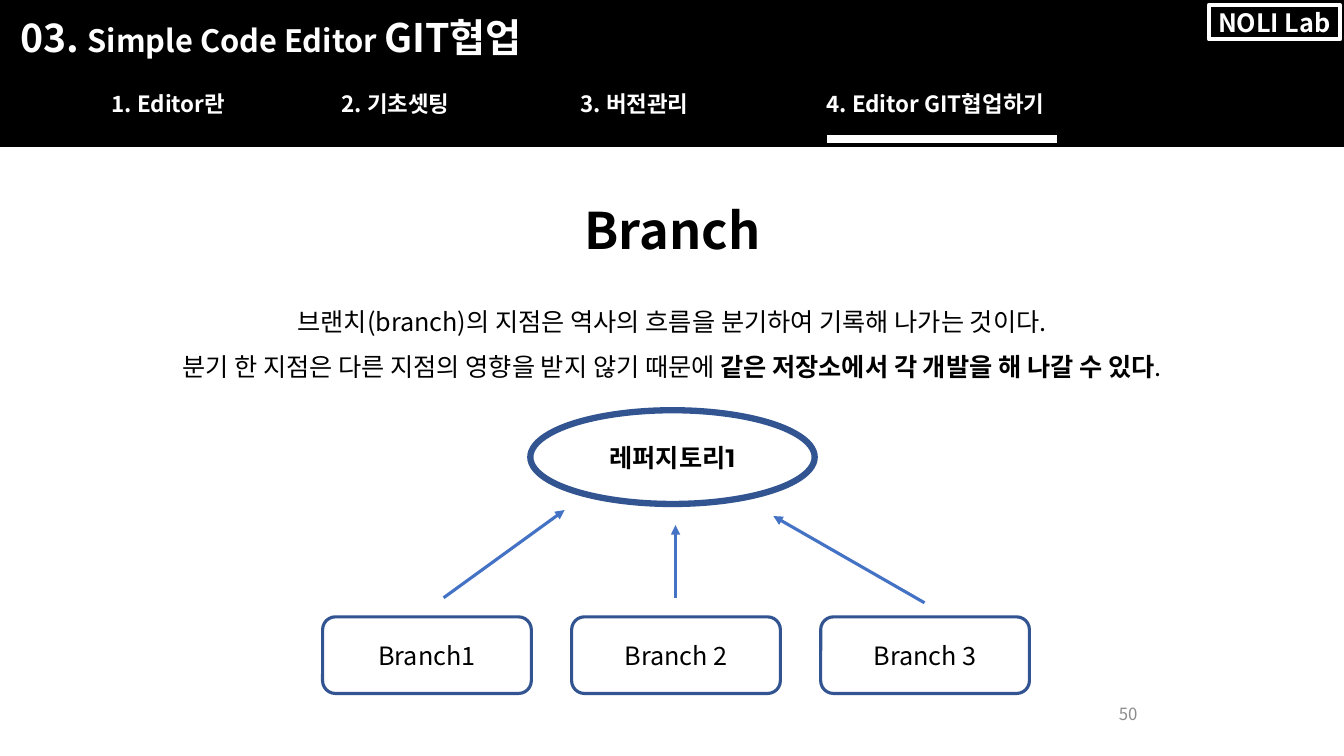
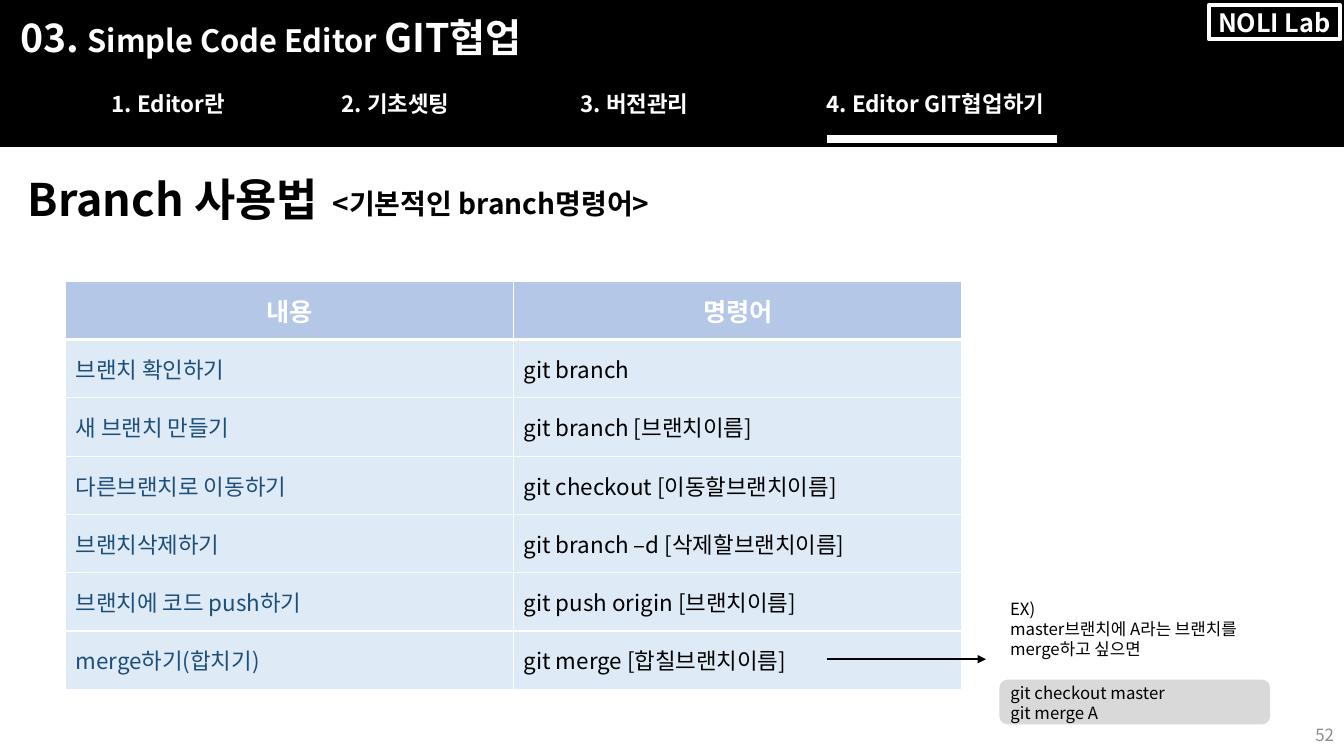
from dataclasses import dataclass

from lxml.etree import SubElement
from pptx import Presentation
from pptx.dml.color import RGBColor as RGB
from pptx.enum.shapes import MSO_CONNECTOR, MSO_SHAPE as SHAPE
from pptx.enum.text import MSO_ANCHOR as ANCHOR, MSO_AUTO_SIZE, PP_ALIGN as ALIGN
from pptx.oxml import parse_xml
from pptx.oxml.ns import nsdecls, qn
from pptx.util import Inches, Pt


@dataclass(frozen=True)
class Theme:
    font: str = "Noto Sans CJK KR"
    accent_font: str = "Montserrat"
    black: RGB = RGB(0x00, 0x00, 0x00)
    white: RGB = RGB(0xFF, 0xFF, 0xFF)
    number_gray: RGB = RGB(0x8C, 0x8C, 0x8C)
    code_gray: RGB = RGB(0xD9, 0xD9, 0xD9)
    outline: RGB = RGB(0x32, 0x54, 0x91)
    arrow: RGB = RGB(0x44, 0x72, 0xC4)
    table_head: RGB = RGB(0xB4, 0xC7, 0xE7)
    table_body: RGB = RGB(0xDE, 0xEB, 0xF7)
    table_label: RGB = RGB(0x1F, 0x4E, 0x79)
    heading: Pt = Pt(36)
    heading_small: Pt = Pt(32)
    section: Pt = Pt(28)
    section_small: Pt = Pt(22)
    subtitle: Pt = Pt(20)
    body: Pt = Pt(18)
    tab: Pt = Pt(16)
    note: Pt = Pt(12)


theme = Theme()


def format_text(frame, size, color=theme.black, bold=False, align=ALIGN.LEFT,
                font=theme.font):
    """Format every run, using the font for Latin and Korean letters alike."""
    frame.word_wrap = True
    for paragraph in frame.paragraphs:
        paragraph.alignment = align
        for run in paragraph.runs:
            run.font.size = size
            run.font.bold = bold
            run.font.color.rgb = color
            run.font.name = font
            SubElement(run.font._element, qn("a:ea"), typeface=font)


def draw_line(shapes, start, end, color, width, arrowhead=False):
    line = shapes.add_connector(MSO_CONNECTOR.STRAIGHT,
                                *map(Inches, (*start, *end)))
    line.line.color.rgb = color
    line.line.width = Pt(width)
    if arrowhead:
        SubElement(line.line._get_or_add_ln(), qn("a:tailEnd"), type="triangle")
    SubElement(line._element.spPr, qn("a:effectLst"))


prs = Presentation()
prs.slide_width, prs.slide_height = Inches(13.33), Inches(7.5)

# Shared header, title and page number
TABS = [
    ("1. Editor란", 1.01, 2.49),
    ("2. 기초셋팅", 3.29, 2.02),
    ("3. 버전관리", 5.66, 2.02),
    ("4. Editor GIT협업하기", 8.1, 2.78),
]
PAGES = [
    ("Branch", theme.heading, (5.6, 1.93, 2.14, 0.71), "50", (8.4, 6.88)),
    ("Branch 사용법", theme.heading_small, (0, 1.65, 3.43, 0.64), "52", (10.35, 7.08)),
]
for heading, heading_size, heading_area, page, page_corner in PAGES:
    slide = prs.slides.add_slide(prs.slide_layouts[5])
    shapes = slide.shapes

    title = shapes.title
    title.left, title.top, title.width, title.height = map(Inches, heading_area)
    title.text_frame.text = heading
    title.text_frame.auto_size = MSO_AUTO_SIZE.NONE
    title.text_frame.vertical_anchor = ANCHOR.TOP
    format_text(title.text_frame, heading_size, bold=True, align=ALIGN.CENTER)

    band = shapes.add_shape(SHAPE.RECTANGLE, 0, 0, prs.slide_width, Inches(1.45))
    band.shadow.inherit = False
    band.fill.solid()
    band.fill.fore_color.rgb = theme.black
    band.line.color.rgb = theme.black
    band.line.width = Pt(1)

    section = shapes.add_textbox(*map(Inches, (0.1, 0.08, 5.85, 0.57))).text_frame
    section.vertical_anchor = ANCHOR.MIDDLE
    for part in ("03. ", "Simple Code Editor ", "GIT협업"):
        section.paragraphs[0].add_run().text = part
    format_text(section, theme.section, theme.white, bold=True)
    section.paragraphs[0].runs[1].font.size = theme.section_small

    for label, left, width in TABS:
        tab = shapes.add_textbox(*map(Inches, (left, 0.85, width, 0.37))).text_frame
        tab.text = label
        format_text(tab, theme.tab, theme.white, bold=True)
    draw_line(shapes, (8.2, 1.38), (10.48, 1.38), theme.white, 6)

    badge = shapes.add_shape(SHAPE.RECTANGLE, *map(Inches, (11.99, 0.05, 1.3, 0.34)))
    badge.shadow.inherit = False
    badge.fill.background()
    badge.line.color.rgb = theme.white
    badge.line.width = Pt(3)
    badge.text_frame.text = "NOLI Lab"
    format_text(badge.text_frame, theme.body, theme.white, bold=True, align=ALIGN.CENTER)
    badge.text_frame.word_wrap = False

    number = shapes.add_textbox(*map(Inches, (*page_corner, 2.98, 0.41))).text_frame
    number.vertical_anchor = ANCHOR.MIDDLE
    number.text = page
    format_text(number, theme.note, theme.number_gray, align=ALIGN.RIGHT)

concept, usage = (slide.shapes for slide in prs.slides)

# Branch concept
intro = concept.add_textbox(*map(Inches, (0.96, 2.84, 11.41, 0.95))).text_frame
intro.text = "브랜치(branch)의 지점은 역사의 흐름을 분기하여 기록해 나가는 것이다."
reason = intro.add_paragraph()
for part in ("분기 한 지점은 다른 지점의 영향을 받지 않기 때문에 ",
             "같은 저장소에서 각 개발을 해 나갈 수 있다", "."):
    reason.add_run().text = part
format_text(intro, theme.body, align=ALIGN.CENTER)
reason.runs[1].font.bold = True
for paragraph in intro.paragraphs:
    paragraph.line_spacing = 1.5

NODES = [("레퍼지토리1", SHAPE.OVAL, (5.26, 4.07, 2.82, 0.93), 4.5, True,
          theme.accent_font)]
NODES += [(name, SHAPE.ROUNDED_RECTANGLE, (3.2 + 2.47 * i, 6.12, 2.07, 0.76), 2.25,
           False, theme.font)
          for i, name in enumerate(("Branch1", "Branch 2", "Branch 3"))]
for name, outline, area, line_width, bold, font in NODES:
    node = concept.add_shape(outline, *map(Inches, area))
    node.shadow.inherit = False
    node.fill.background()
    node.line.color.rgb = theme.outline
    node.line.width = Pt(line_width)
    node.text_frame.text = name
    format_text(node.text_frame, theme.body, bold=bold, align=ALIGN.CENTER, font=font)

for start, end in [((4.4, 5.93), (5.6, 5.06)),
                   ((6.7, 5.93), (6.7, 5.21)),
                   ((9.17, 5.98), (7.67, 5.12))]:
    draw_line(concept, start, end, theme.arrow, 2.25, arrowhead=True)

# Branch commands
subtitle = usage.add_textbox(*map(Inches, (2.25, 1.8, 5.24, 0.44))).text_frame
subtitle.text = "<기본적인 branch명령어>"
format_text(subtitle, theme.subtitle, bold=True, align=ALIGN.CENTER)

COMMANDS = [
    ("내용", "명령어"),
    ("브랜치 확인하기", "git branch"),
    ("새 브랜치 만들기", "git branch [브랜치이름]"),
    ("다른브랜치로 이동하기", "git checkout [이동할브랜치이름]"),
    ("브랜치삭제하기", "git branch –d [삭제할브랜치이름]"),
    ("브랜치에 코드 push하기", "git push origin [브랜치이름]"),
    ("merge하기(합치기)", "git merge [합칠브랜치이름]"),
]
table = usage.add_table(len(COMMANDS), 2,
                        *map(Inches, (0.65, 2.79, 8.89, 4.05))).table
table.horz_banding = False
for r, texts in enumerate(COMMANDS):
    for c, text in enumerate(texts):
        cell = table.cell(r, c)
        cell.text_frame.text = text
        cell.vertical_anchor = ANCHOR.MIDDLE
        if r == 0:
            format_text(cell.text_frame, theme.body, theme.white, bold=True,
                        align=ALIGN.CENTER)
        else:
            format_text(cell.text_frame, theme.tab,
                        theme.table_label if c == 0 else theme.black)
        # The rule under the header row is thicker than the others
        thick_side = {0: "lnB", 1: "lnT"}.get(r)
        for side in ("lnL", "lnR", "lnT", "lnB"):
            width = Pt(3 if side == thick_side else 1)
            cell._tc.get_or_add_tcPr().append(parse_xml(
                f'<a:{side} {nsdecls("a")} w="{width}"><a:solidFill>'
                f'<a:srgbClr val="{theme.white}"/></a:solidFill></a:{side}>'))
        cell.fill.solid()
        cell.fill.fore_color.rgb = theme.table_head if r == 0 else theme.table_body

draw_line(usage, (8.2, 6.54), (9.78, 6.54), theme.black, 1.5, arrowhead=True)

example = usage.add_textbox(*map(Inches, (9.92, 5.89, 2.93, 0.7))).text_frame
example.text = "EX)\nmaster브랜치에 A라는 브랜치를merge하고 싶으면"
format_text(example, theme.note)

code = usage.add_shape(SHAPE.ROUNDED_RECTANGLE, *map(Inches, (9.92, 6.75, 2.67, 0.43)))
code.shadow.inherit = False
code.fill.solid()
code.fill.fore_color.rgb = theme.code_gray
code.line.color.rgb = theme.code_gray
code.line.width = Pt(1)
code.text_frame.text = "git checkout master\ngit merge A"
code.text_frame.vertical_anchor = ANCHOR.TOP
code.text_frame.margin_left = Inches(0.08)
code.text_frame.margin_top = code.text_frame.margin_bottom = 0
format_text(code.text_frame, theme.note)

prs.save("out.pptx")
